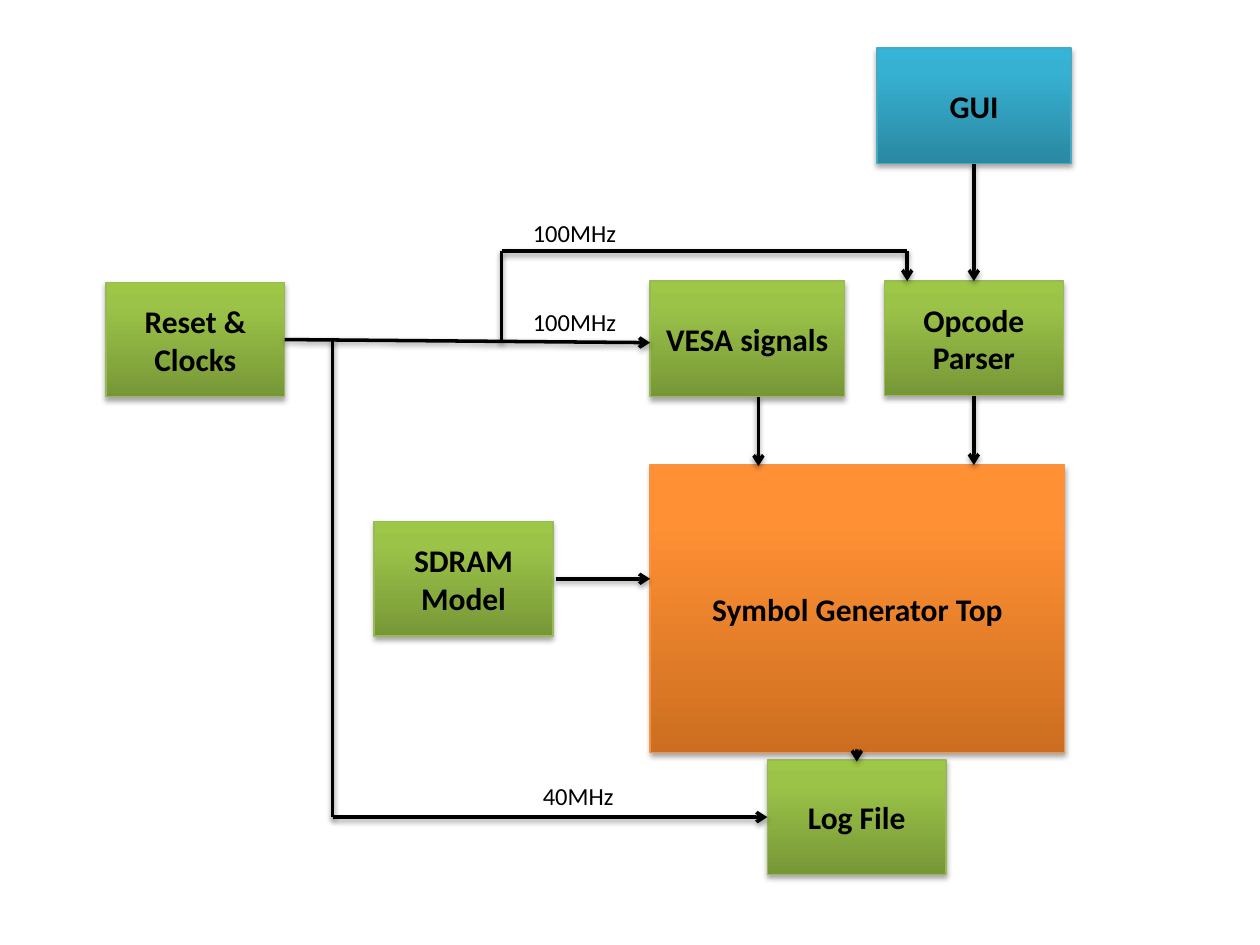
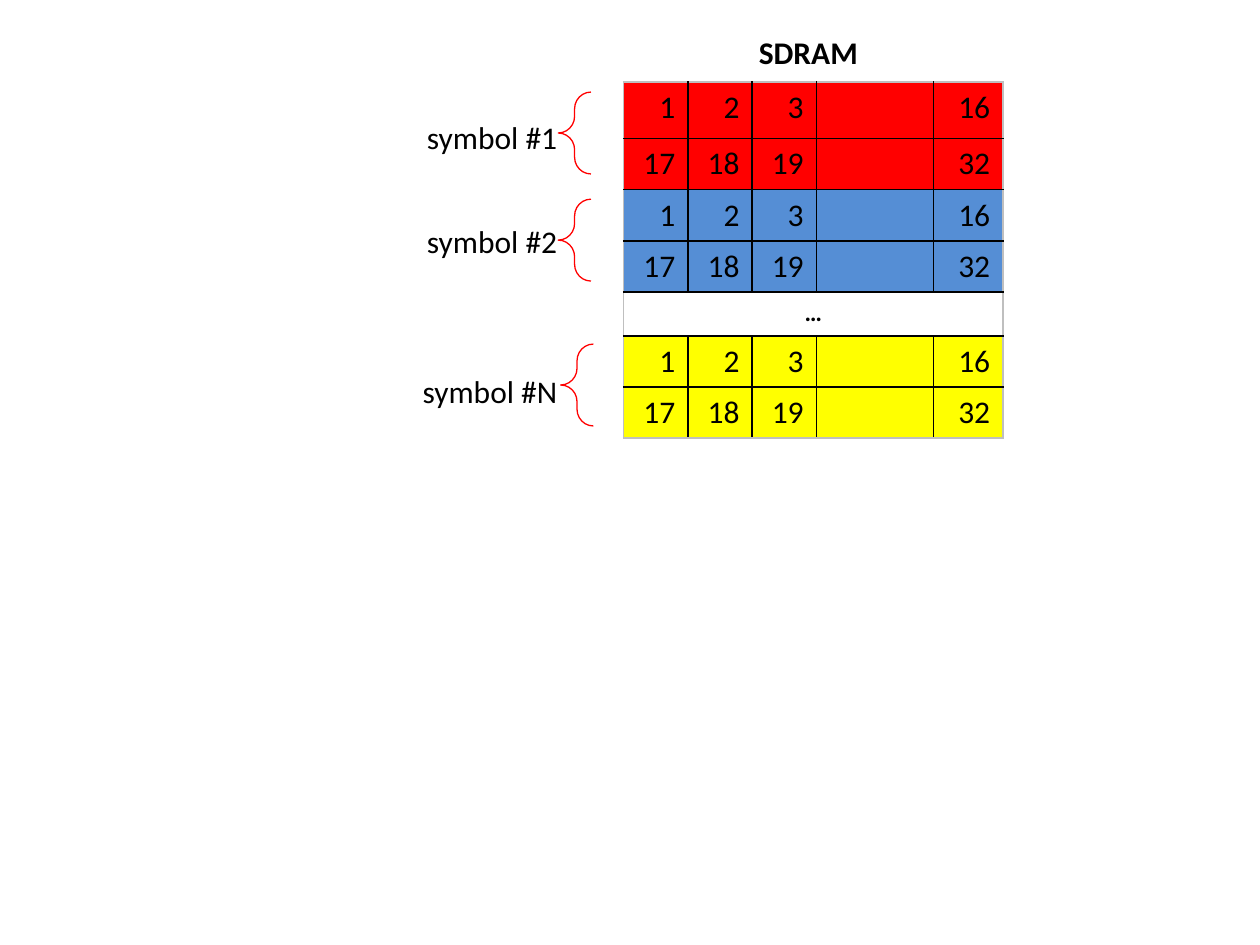
from copy import deepcopy
from dataclasses import dataclass

from lxml.etree import SubElement
from pptx import Presentation
from pptx.dml.color import RGBColor
from pptx.enum.shapes import MSO_CONNECTOR, MSO_SHAPE
from pptx.enum.text import MSO_ANCHOR, MSO_AUTO_SIZE, PP_ALIGN
from pptx.oxml.ns import qn
from pptx.util import Pt

FONT = "Calibri"
COLOURS = {
    "black": "000000",
    "red": "FF0000",
    "blue": "558ED5",
    "yellow": "FFFF00",
    "frame": "BFBFBF",
    "green line": "98B955",
    "orange line": "F69240",
    "cyan line": "46AAC5",
}
# Gradient colours from the bottom of a block to its top
GRADIENTS = {
    "green": ("779737", "9BC348", "9DC746"),
    "orange": ("CC6E20", "FF9034", "FF9136"),
    "cyan": ("2A88A2", "37B1D2", "34B4D6"),
}
GRADIENT_POSITIONS = (0, 0.8, 1)


@dataclass(frozen=True)
class Block:
    """A labelled block of the diagram, in points."""
    text: str
    left: float
    top: float
    width: float = 102.2
    height: float = 65.5
    palette: str = "green"

    @property
    def right(self) -> float:
        return self.left + self.width

    @property
    def bottom(self) -> float:
        return self.top + self.height

    @property
    def centre_x(self) -> float:
        return self.left + self.width / 2

    @property
    def centre_y(self) -> float:
        return self.top + self.height / 2


@dataclass(frozen=True)
class Wire:
    """A straight line between two points, with an optional arrowhead."""
    start: tuple[float, float]
    end: tuple[float, float]
    arrow: bool = True


@dataclass(frozen=True)
class Label:
    """A piece of free text, in points."""
    text: str
    left: float
    top: float
    width: float
    height: float


@dataclass(frozen=True)
class SymbolMark:
    """A brace and the name of the symbol it encloses."""
    label: Label
    brace_left: float
    brace_top: float


def colour(name: str) -> RGBColor:
    """Return a palette colour."""
    return RGBColor.from_string(COLOURS[name])


def write_text(frame, text: str, *, size: float = 18, bold: bool = False,
               align=PP_ALIGN.LEFT, anchor=MSO_ANCHOR.TOP) -> None:
    """Put one formatted paragraph into a text frame."""
    frame.word_wrap = True
    frame.vertical_anchor = anchor
    paragraph = frame.paragraphs[0]
    paragraph.alignment = align
    run = paragraph.add_run()
    run.text = text
    run.font.name = FONT
    run.font.size = Pt(size)
    run.font.bold = bold
    run.font.color.rgb = colour("black")


def add_label(shapes, label: Label, **text_format) -> None:
    """Add a text box."""
    box = shapes.add_textbox(Pt(label.left), Pt(label.top),
                             Pt(label.width), Pt(label.height))
    write_text(box.text_frame, label.text, **text_format)


def add_shadow(shape, opacity: int, distance: float) -> None:
    """Give a shape a soft shadow straight below it."""
    effects = SubElement(shape.element.spPr, qn("a:effectLst"))
    shadow = SubElement(effects, qn("a:outerShdw"), blurRad=str(Pt(3.1)),
                        dist=str(Pt(distance)), dir="5400000", rotWithShape="0")
    shade = SubElement(shadow, qn("a:srgbClr"), val=COLOURS["black"])
    SubElement(shade, qn("a:alpha"), val=str(opacity * 1000))


def fill_gradient(shape, palette: str) -> None:
    """Fill a shape with a three-stop vertical gradient."""
    shape.fill.gradient()
    shape.fill.gradient_angle = 90
    stop_list = shape.element.spPr.find(".//" + qn("a:gsLst"))
    stop_list.append(deepcopy(stop_list[-1]))
    for stop, position, value in zip(shape.fill.gradient_stops,
                                     GRADIENT_POSITIONS, GRADIENTS[palette]):
        stop.position = position
        stop.color.rgb = RGBColor.from_string(value)


def add_block(slide, block: Block) -> None:
    """Draw a diagram block with its caption."""
    shape = slide.shapes.add_shape(MSO_SHAPE.RECTANGLE, Pt(block.left), Pt(block.top),
                                   Pt(block.width), Pt(block.height))
    fill_gradient(shape, block.palette)
    shape.line.color.rgb = colour(f"{block.palette} line")
    shape.line.width = Pt(0.75)
    add_shadow(shape, 35, 1.8)
    write_text(shape.text_frame, block.text, bold=True,
               align=PP_ALIGN.CENTER, anchor=MSO_ANCHOR.MIDDLE)


def add_wire(slide, wire: Wire) -> None:
    """Draw a connection line."""
    connector = slide.shapes.add_connector(
        MSO_CONNECTOR.STRAIGHT, *(Pt(value) for value in wire.start + wire.end))
    connector.line.color.rgb = colour("black")
    connector.line.width = Pt(2)
    if wire.arrow:
        SubElement(connector.element.spPr.find(qn("a:ln")), qn("a:tailEnd"), type="arrow")
    add_shadow(connector, 38, 1.6)


def add_symbol_mark(slide, mark: SymbolMark) -> None:
    """Draw a brace and its symbol name as one group."""
    group = slide.shapes.add_group_shape()
    brace = group.shapes.add_shape(MSO_SHAPE.LEFT_BRACE, Pt(mark.brace_left),
                                   Pt(mark.brace_top), Pt(18.7), Pt(46.8))
    brace.adjustments[0] = 0.511
    brace.fill.background()
    brace.line.color.rgb = colour("red")
    brace.line.width = Pt(0.75)
    brace.shadow.inherit = False
    add_label(group.shapes, mark.label, align=PP_ALIGN.RIGHT)


def set_borders(cell, edges: dict[str, str]) -> None:
    """Set cell borders; edges maps L, R, T, B to colour names."""
    properties = cell._tc.get_or_add_tcPr()
    for index, (side, name) in enumerate(edges.items()):
        line = SubElement(properties, qn(f"a:ln{side}"), w=str(Pt(1)))
        fill = SubElement(line, qn("a:solidFill"))
        SubElement(fill, qn("a:srgbClr"), val=COLOURS[name])
        properties.insert(index, line)


def add_memory_table(slide) -> None:
    """Draw the memory map: two rows of words for each symbol."""
    widths = (36.7, 36.7, 36.7, 67, 39.6)
    heights = (32.4, 29.2, 29.2, 29.2, 25.2, 29.2, 29.2)
    words = (("1", "2", "3", "", "16"), ("17", "18", "19", "", "32"))
    bands = [(row, name) for name in ("red", "blue") for row in words]
    bands += [(("…", "", "", "", ""), None)]
    bands += [(row, "yellow") for row in words]
    last_row, last_column = len(heights) - 1, len(widths) - 1

    table = slide.shapes.add_table(len(heights), len(widths), Pt(356.4), Pt(46.8),
                                   Pt(sum(widths)), Pt(sum(heights))).table
    table.first_row = table.horz_banding = False
    for column, width in zip(table.columns, widths):
        column.width = Pt(width)
    for row_index, (texts, fill_name) in enumerate(bands):
        table.rows[row_index].height = Pt(heights[row_index])
        gap_row = fill_name is None
        if gap_row:
            table.cell(row_index, 0).merge(table.cell(row_index, last_column))
        for column_index, text in enumerate(texts):
            cell = table.cell(row_index, column_index)
            if gap_row:
                cell.fill.background()
            else:
                cell.fill.solid()
                cell.fill.fore_color.rgb = colour(fill_name)
            outer = {
                "L": gap_row or column_index == 0,
                "R": gap_row or column_index == last_column,
                "T": row_index == 0,
                "B": row_index == last_row,
            }
            set_borders(cell, {side: "frame" if edge else "black"
                               for side, edge in outer.items()})
            if text:
                write_text(cell.text_frame, text, size=14 if gap_row else 18, bold=gap_row,
                           align=PP_ALIGN.CENTER if gap_row else PP_ALIGN.RIGHT)


def build_diagram_slide(presentation) -> None:
    """Build the block diagram of the test bench."""
    slide = presentation.slides.add_slide(presentation.slide_layouts[6])
    generator = Block("Symbol Generator Top", 371.5, 265.7, 237, 164.5, "orange")
    memory = Block("SDRAM Model", 213.8, 298)
    clocks = Block("Reset & Clocks", 60.5, 161.3)
    video = Block("VESA signals", 371.5, 160.6, 111, 66.2)
    parser = Block("Opcode Parser", 505.4, 160.6)
    interface = Block("GUI", 501.1, 27.4, 111, 66.2, "cyan")
    log = Block("Log File", 438.5, 434.2)
    for block in (generator, memory, clocks, video, parser, interface, log):
        add_block(slide, block)

    video_x, clock_y = 433.4, 195.8
    fast_x, fast_y, parser_x = 286.6, 143.6, 518.4
    slow_x = 190.1
    for wire in (
        Wire((parser.centre_x, interface.bottom), (parser.centre_x, parser.top)),
        Wire((parser.centre_x, parser.bottom), (parser.centre_x, generator.top)),
        Wire((video_x, video.bottom), (video_x, generator.top + 0.7)),
        Wire((clocks.right, clocks.centre_y), (video.left, clock_y)),
        Wire((log.centre_x, generator.bottom), (log.centre_x, log.top + 1)),
        Wire((memory.right + 1.5, memory.centre_y), (generator.left, memory.centre_y)),
        Wire((fast_x, clock_y), (fast_x, fast_y), arrow=False),
        Wire((parser_x, fast_y), (fast_x, fast_y), arrow=False),
        Wire((parser_x, fast_y), (parser_x, parser.top)),
        Wire((slow_x, log.centre_y), (slow_x, 193), arrow=False),
        Wire((slow_x, log.centre_y), (log.left, log.centre_y)),
    ):
        add_wire(slide, wire)
    for text, left, top in (("100MHz", 297.4, 121), ("100MHz", 297.4, 172.1),
                            ("40MHz", 303.1, 442.8)):
        add_label(slide.shapes, Label(text, left, top, 90.7, 24.5), size=14)


def build_memory_slide(presentation) -> None:
    """Build the memory map with its symbol names."""
    slide = presentation.slides.add_slide(presentation.slide_layouts[5])
    title = slide.shapes.title
    title.left, title.top, title.width, title.height = (
        Pt(419.8), Pt(15.1), Pt(84.2), Pt(28.8))
    title.text_frame.auto_size = MSO_AUTO_SIZE.NONE
    write_text(title.text_frame, "SDRAM", bold=True, align=PP_ALIGN.CENTER)
    add_memory_table(slide)
    for name, label_top, brace_left, brace_top in (
        ("symbol #1", 64.1, 319, 52.6),
        ("symbol #2", 123.1, 319, 113.8),
        ("symbol #N", 208.8, 320.4, 196.6),
    ):
        label = Label(name, 218.2, label_top, 107.3, 28.8)
        add_symbol_mark(slide, SymbolMark(label, brace_left, brace_top))


def main() -> None:
    """Build and save the presentation."""
    presentation = Presentation()
    presentation.slide_width, presentation.slide_height = Pt(720), Pt(540)
    build_diagram_slide(presentation)
    build_memory_slide(presentation)
    presentation.save("out.pptx")


main()
